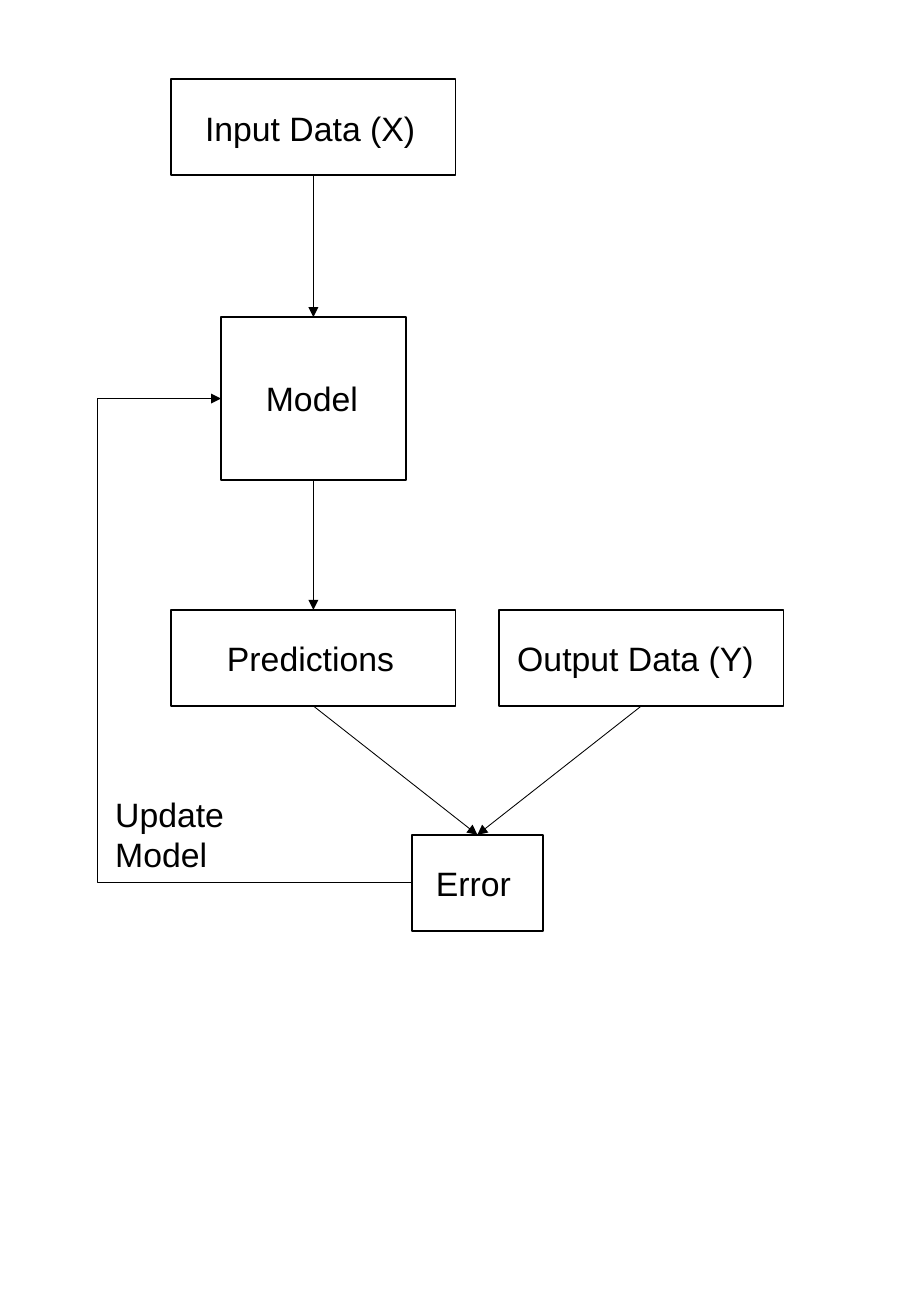
"""Draw the training loop of a supervised learning model."""
from lxml import etree
from pptx import Presentation
from pptx import util as u
from pptx.dml.color import RGBColor
from pptx.enum import shapes, text
from pptx.oxml.ns import qn

BLACK = RGBColor(0, 0, 0)
WHITE = RGBColor(255, 255, 255)
LEFT, MID, RIGHT = 2.58, 3.93, 5.28
TOP, SIDE, BASE = 0, 1, 2
WIDE, HIGH = 2.34, 0.79


def write(frame, words, font="Arial", size=20, color=BLACK, align=text.PP_ALIGN.LEFT):
    frame.word_wrap = True
    frame.auto_size = text.MSO_AUTO_SIZE.SHAPE_TO_FIT_TEXT
    line = frame.paragraphs[0]
    line.alignment = align
    run = line.add_run()
    run.text = words
    run.font.name = font
    run.font.size = u.Pt(size)
    run.font.color.rgb = color


class Chart:
    def __init__(self, slide, ink=BLACK, fill=WHITE):
        self.items = slide.shapes
        self.ink = ink
        self.fill = fill

    def box(self, mid, top, width=WIDE, height=HIGH):
        box = self.items.add_shape(
            shapes.MSO_SHAPE.RECTANGLE, u.Inches(mid - width / 2),
            u.Inches(top), u.Inches(width), u.Inches(height))
        box.shadow.inherit = False
        box.fill.solid()
        box.fill.fore_color.rgb = self.fill
        box.line.color.rgb = self.ink
        box.line.width = u.Pt(1)
        return box

    def label(self, words, left, top, width, height=0.44):
        area = self.items.add_textbox(*map(u.Inches, (left, top, width, height)))
        write(area.text_frame, words, color=self.ink)

    def arrow(self, start, end, kind=shapes.MSO_CONNECTOR.STRAIGHT, exit=BASE, entry=TOP):
        wire = self.items.add_connector(kind, 0, 0, 0, 0)
        wire.begin_connect(start, exit)
        wire.end_connect(end, entry)
        wire.line.color.rgb = self.ink
        wire.line.width = u.Pt(0.5)
        props = wire.element.spPr
        etree.SubElement(props.find(qn("a:ln")), qn("a:tailEnd"), type="triangle")
        etree.SubElement(props, qn("a:effectLst"))
        return wire

    def loop(self, start, end, bend):
        wire = self.arrow(start, end, shapes.MSO_CONNECTOR.ELBOW, SIDE, SIDE)
        props = wire.element.spPr
        frame = props.find(qn("a:xfrm"))
        for flip in ("flipH", "flipV"):
            frame.attrib.pop(flip, None)
        frame.set("rot", "10800000")
        guides = props.find(qn("a:prstGeom")).find(qn("a:avLst"))
        etree.SubElement(guides, qn("a:gd"), name="adj1", fmla=f"val {round(bend * 100000)}")


def main():
    deck = Presentation()
    deck.slide_width, deck.slide_height = u.Inches(7.5), u.Inches(10.83)
    chart = Chart(deck.slides.add_slide(deck.slide_layouts[6]))

    data = chart.box(LEFT, 0.65)
    model = chart.box(LEFT, 2.61, 1.52, 1.34)
    guess = chart.box(LEFT, 5.02)
    truth = chart.box(RIGHT, 5.02)
    error = chart.box(MID, 6.87, 1.08)

    for start, end in ((data, model), (model, guess), (guess, error), (truth, error)):
        chart.arrow(start, end)
    chart.loop(error, model, 1.65)

    chart.label("Input Data (X)", 1.59, 0.84, 1.97)
    chart.label("Model", 2.09, 3.06, 0.99)
    chart.label("Predictions", 1.77, 5.2, 1.62)
    chart.label("Output Data (Y)", 4.16, 5.2, 2.25)
    chart.label("Error", 3.49, 7.05, 0.87)
    chart.label("Update Model", 0.85, 6.48, 1.3, 0.77)
    deck.save("out.pptx")


if __name__ == "__main__":
    main()
